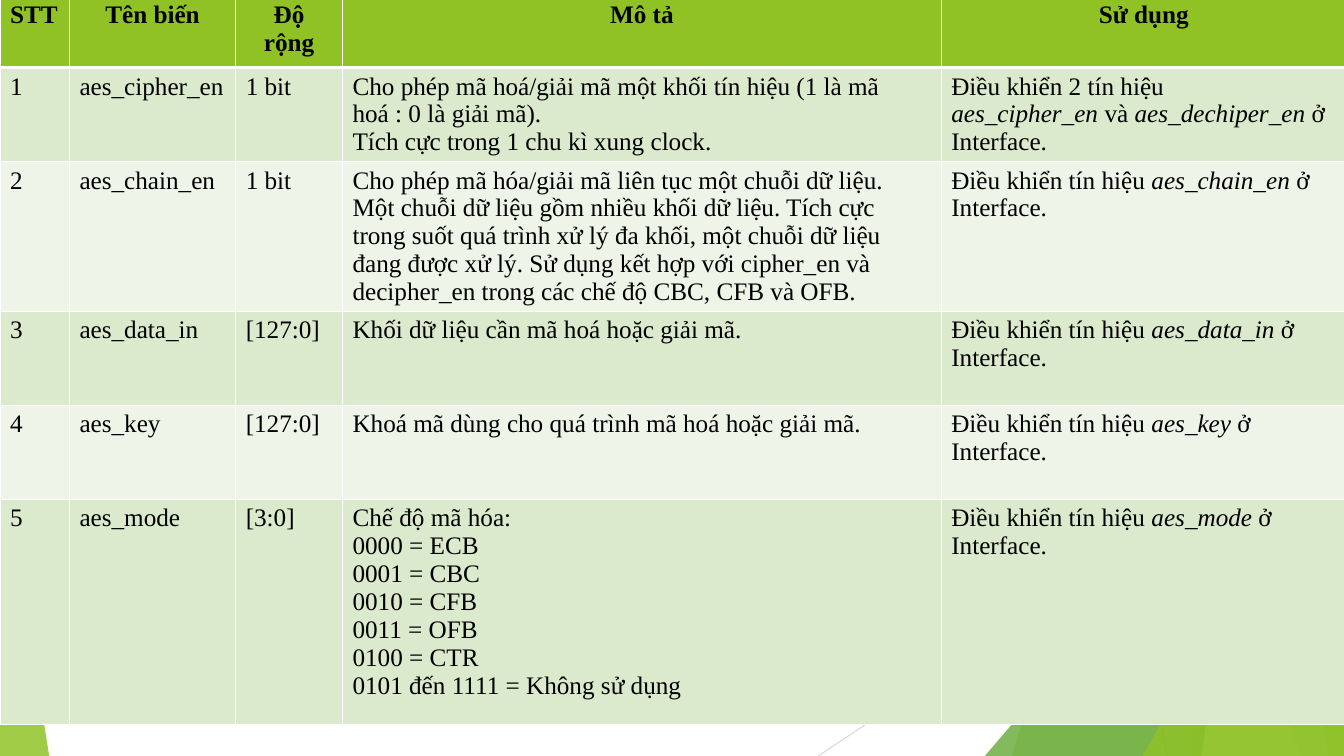
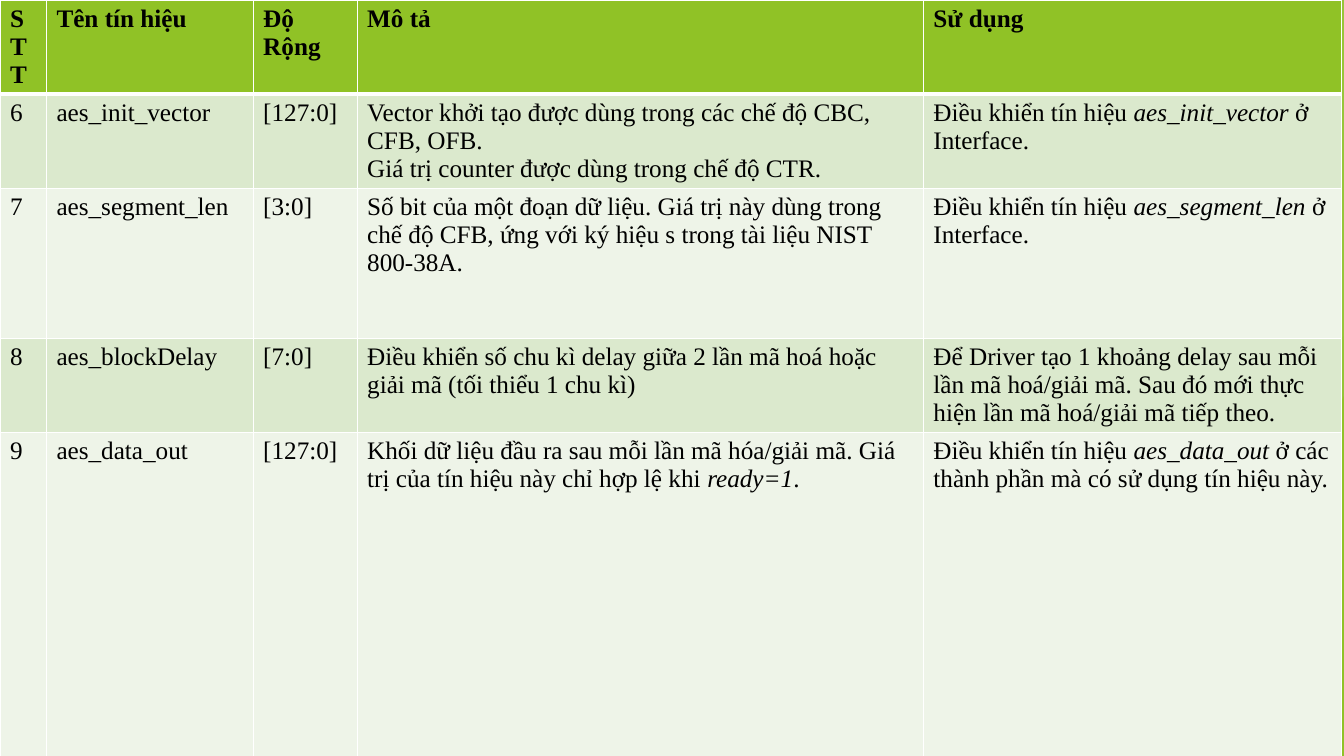
from dataclasses import dataclass

from lxml import etree
from pptx import Presentation
from pptx.dml.color import RGBColor
from pptx.enum.shapes import MSO_CONNECTOR, MSO_SHAPE
from pptx.enum.text import PP_ALIGN
from pptx.oxml.ns import qn
from pptx.util import Cm, Pt

STRAIGHT = MSO_CONNECTOR.STRAIGHT
TRIANGLE = MSO_SHAPE.ISOSCELES_TRIANGLE
LEFT, CENTER = PP_ALIGN.LEFT, PP_ALIGN.CENTER
WIDTH, HEIGHT = 33.87, 19.05
BLANK_LAYOUT = 6


@dataclass(frozen=True)
class Theme:
    font: str = "Times New Roman"
    text_size: int = 18
    hairline: float = 0.75
    cell_line: int = 1
    header_line: int = 3
    text: RGBColor = RGBColor(0x00, 0x00, 0x00)
    white: RGBColor = RGBColor(0xFF, 0xFF, 0xFF)
    green: RGBColor = RGBColor(0x90, 0xC2, 0x26)
    mid_green: RGBColor = RGBColor(0x54, 0xA0, 0x21)
    dark_green: RGBColor = RGBColor(0x3F, 0x78, 0x19)
    lime: RGBColor = RGBColor(0xC0, 0xE4, 0x74)
    grey: RGBColor = RGBColor(0xBF, 0xBF, 0xBF)
    light_grey: RGBColor = RGBColor(0xD9, 0xD9, 0xD9)
    odd_row: RGBColor = RGBColor(0xDB, 0xE9, 0xCD)
    even_row: RGBColor = RGBColor(0xEE, 0xF4, 0xE8)


class SlideBuilder:
    def __init__(self, deck, theme):
        self.deck, self.theme = deck, theme
        self.layout = deck.slide_layouts[BLANK_LAYOUT]
        self.page = None

    def new_page(self):
        self.page = self.deck.slides.add_slide(self.layout)

    def share_page_shapes(self):
        """Move the shapes of the current page to the layout, in place of its placeholders."""
        tree = self.layout.shapes.element
        for placeholder in list(self.layout.placeholders):
            tree.remove(placeholder.element)
        for shape in list(self.page.shapes):
            tree.append(shape.element)

    def line(self, start, end, color):
        line = self.page.shapes.add_connector(STRAIGHT, *map(Cm, start + end))
        line.line.color.rgb = color
        line.line.width = Pt(self.theme.hairline)
        etree.SubElement(line.element.spPr, qn("a:effectLst"))

    def paint(self, shape, color, opacity):
        shape.shadow.inherit = False
        shape.line.fill.background()
        shape.fill.solid()
        shape.fill.fore_color.rgb = color
        rgb = shape.element.spPr.find(qn("a:solidFill")).find(qn("a:srgbClr"))
        etree.SubElement(rgb, qn("a:alpha"), val=str(opacity * 1000))

    def band(self, top_x, bottom_x, color, opacity):
        """Fill from a slanted left edge to the right side of the page."""
        corners = [(WIDTH, 0), (WIDTH, HEIGHT), (bottom_x, HEIGHT)]
        outline = self.page.shapes.build_freeform(Cm(top_x), 0, scale=1.0)
        outline.add_line_segments([(Cm(x), Cm(y)) for x, y in corners], close=True)
        self.paint(outline.convert_to_shape(), color, opacity)

    def corner(self, left, top, width, apex, color, opacity):
        """Stand a triangle on the bottom edge; apex is 0 for left, 1 for right."""
        shape = self.page.shapes.add_shape(
            TRIANGLE, Cm(left), Cm(top), Cm(width), Cm(HEIGHT - top))
        shape.adjustments[0] = apex
        self.paint(shape, color, opacity)

    def table(self, top, widths, heights, rows, header_alignments):
        theme = self.theme
        frame = self.page.shapes.add_table(
            len(rows), len(widths), 0, Cm(top), Cm(sum(widths)), Cm(sum(heights)))
        table = frame.table
        for column, width in zip(table.columns, widths):
            column.width = Cm(width)
        for row, height in zip(table.rows, heights):
            row.height = Cm(height)
        fills = [theme.even_row, theme.odd_row]
        for i, row in enumerate(rows):
            is_header = i == 0
            for j, content in enumerate(row):
                cell = table.cell(i, j)
                self.borders(cell, i)
                cell.fill.solid()
                cell.fill.fore_color.rgb = theme.green if is_header else fills[i % 2]
                alignment = header_alignments[j] if is_header else LEFT
                self.add_text(cell.text_frame, content, alignment, is_header)

    def borders(self, cell, row_index):
        theme = self.theme
        heavy_side = {0: "B", 1: "T"}.get(row_index)
        properties = cell._tc.get_or_add_tcPr()
        for side in "LRTB":
            width = theme.header_line if side == heavy_side else theme.cell_line
            border = etree.SubElement(properties, qn(f"a:ln{side}"), w=str(int(Pt(width))))
            fill = etree.SubElement(border, qn("a:solidFill"))
            etree.SubElement(fill, qn("a:srgbClr"), val=str(theme.white))

    def add_text(self, text_frame, content, alignment, bold):
        """Add text where \\n parts paragraphs, \\v parts lines and * encloses italics."""
        for i, text in enumerate(content.split("\n")):
            para = text_frame.add_paragraph() if i else text_frame.paragraphs[0]
            para.alignment = alignment
            for j, part in enumerate(text.split("*")):
                for k, words in enumerate(part.split("\v")):
                    if k:
                        para.add_line_break()
                    if words:
                        self.span(para, words, bold, italic=j % 2 == 1)

    def span(self, para, words, bold, italic):
        span = para.add_run()
        span.text = words
        font = span.font
        font.name, font.size = self.theme.font, Pt(self.theme.text_size)
        font.bold, font.italic = bold, italic
        font.color.rgb = self.theme.text


def drives(signal, place="ở Interface."):
    """Usage text of a variable that drives one signal."""
    return f"Điều khiển tín hiệu *{signal}* {place}"


VARIABLES = [
    ("STT", "Tên biến", "Độ rộng", "Mô tả", "Sử dụng"),
    ("1", "aes_cipher_en", "1 bit",
     "Cho phép mã hoá/giải mã một khối tín hiệu (1 là mã hoá : 0 là giải mã).\n"
     "Tích cực trong 1 chu kì xung clock.",
     "Điều khiển 2 tín hiệu \v*aes_cipher_en* và *aes_dechiper_en* ở Interface."),
    ("2", "aes_chain_en", "1 bit",
     "Cho phép mã hóa/giải mã liên tục một chuỗi dữ liệu. Một chuỗi dữ liệu gồm "
     "nhiều khối dữ liệu. Tích cực trong suốt quá trình xử lý đa khối, một chuỗi "
     "dữ liệu đang được xử lý. Sử dụng kết hợp với cipher_en và decipher_en trong "
     "các chế độ CBC, CFB và OFB.",
     drives("aes_chain_en")),
    ("3", "aes_data_in", "[127:0]", "Khối dữ liệu cần mã hoá hoặc giải mã.",
     drives("aes_data_in")),
    ("4", "aes_key", "[127:0]", "Khoá mã dùng cho quá trình mã hoá hoặc giải mã.",
     drives("aes_key")),
    ("5", "aes_mode", "[3:0]",
     "Chế độ mã hóa:\n0000 = ECB\n0001 = CBC\n0010 = CFB\n0011 = OFB\n0100 = CTR\n"
     "0101 đến 1111 = Không sử dụng",
     drives("aes_mode")),
]

SIGNALS = [
    ("STT", "Tên tín hiệu", "Độ Rộng", "Mô tả", "Sử dụng"),
    ("6", "aes_init_vector", "[127:0]",
     "Vector khởi tạo được dùng trong các chế độ CBC, CFB, OFB.\n"
     "Giá trị counter được dùng trong chế độ CTR.",
     drives("aes_init_vector")),
    ("7", "aes_segment_len", "[3:0]",
     "Số bit của một đoạn dữ liệu. Giá trị này dùng trong chế độ CFB, ứng với ký "
     "hiệu s trong tài liệu NIST 800-38A.",
     drives("aes_segment_len")),
    ("8", "aes_blockDelay", "[7:0]",
     "Điều khiển số chu kì delay giữa 2 lần mã hoá hoặc giải mã (tối thiểu 1 chu kì)",
     "Để Driver tạo 1 khoảng delay sau mỗi lần mã hoá/giải mã. Sau đó mới thực hiện "
     "lần mã hoá/giải mã tiếp theo."),
    ("9", "aes_data_out", "[127:0]",
     "Khối dữ liệu đầu ra sau mỗi lần mã hóa/giải mã. Giá trị của tín hiệu này chỉ "
     "hợp lệ khi *ready=1*.",
     drives("aes_data_out", "ở các thành phần mà có sử dụng tín hiệu này.")),
]


def draw_background(builder):
    theme = builder.theme
    builder.line((26.04, 0), (29.41, HEIGHT), theme.grey)
    builder.line((WIDTH, 10.24), (20.62, HEIGHT), theme.light_grey)
    builder.band(31.19, 25.5, theme.green, 30)
    builder.band(26.67, 30.05, theme.green, 20)
    builder.corner(24.82, 8.46, 9.05, 1, theme.mid_green, 72)
    builder.band(25.93, 32.79, theme.dark_green, 70)
    builder.band(33.1, 30.28, theme.lime, 70)
    builder.band(30.38, 33.48, theme.green, 65)
    builder.corner(28.8, 9.98, 5.07, 1, theme.green, 80)
    builder.corner(0, 11.15, 1.24, 0, theme.green, 85)


def main():
    deck = Presentation()
    deck.slide_width, deck.slide_height = Cm(WIDTH), Cm(HEIGHT)
    builder = SlideBuilder(deck, Theme())

    builder.new_page()
    draw_background(builder)
    builder.share_page_shapes()
    builder.table(-0.1, [1.75, 4.19, 2.69, 15.09, 10.21],
                  [1.8, 2.37, 3.77, 2.37, 2.37, 5.67],
                  VARIABLES, [LEFT] + [CENTER] * 4)

    builder.new_page()
    builder.table(0, [1.17, 5.21, 2.62, 14.27, 10.54],
                  [2.37, 2.37, 3.78, 2.37, 8.74],
                  SIGNALS, [LEFT] * 5)

    deck.save("out.pptx")


if __name__ == "__main__":
    main()
